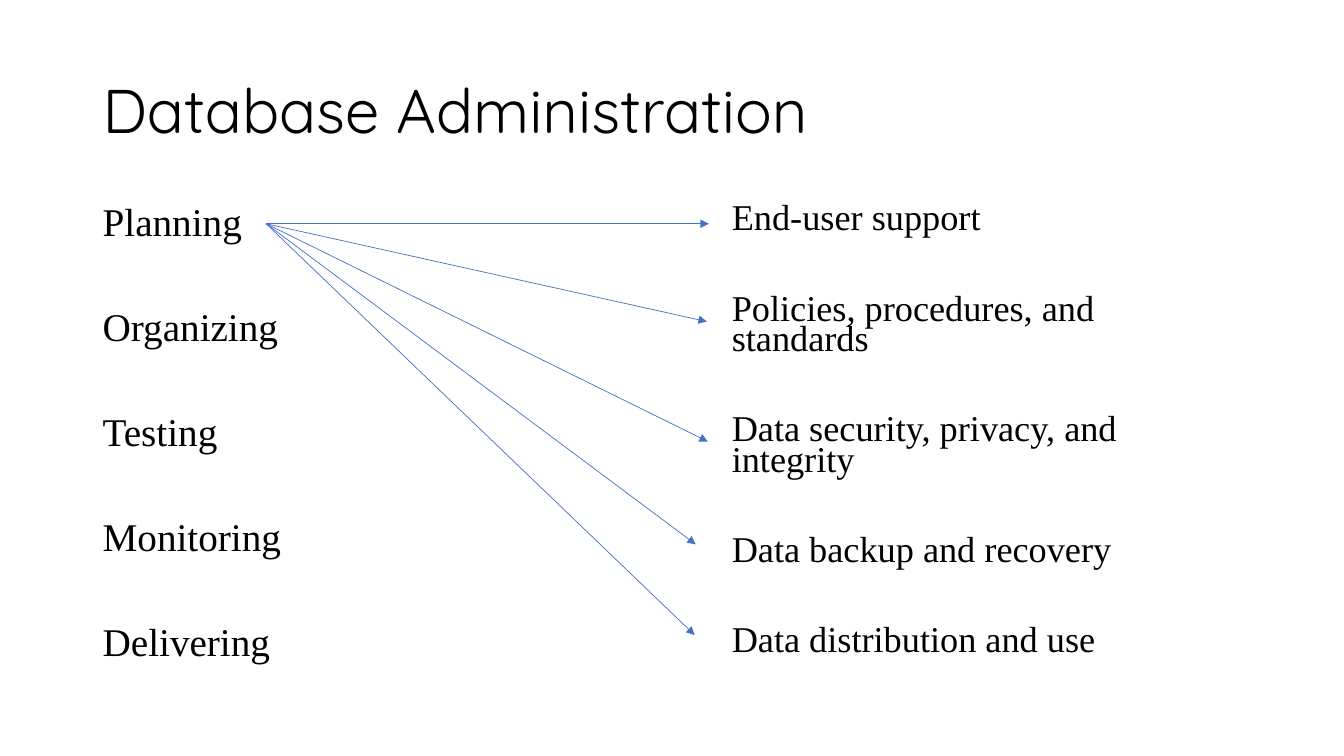
import pptx
import pptx.dml.color
import pptx.enum.shapes
import pptx.enum.text
import pptx.oxml
import pptx.oxml.ns
import pptx.util
from dataclasses import dataclass
from pptx.util import Inches


@dataclass(frozen=True)
class Theme:
    text: str = "000000"
    arrow: str = "4472C4"
    heading_font: str = "Quicksand"
    body_font: str = "Times New Roman"
    heading_size: float = 44
    activity_size: float = 28
    function_size: float = 25.9
    arrow_width: float = 0.5


THEME = Theme()

ACTIVITIES = ["Planning", "Organizing", "Testing", "Monitoring", "Delivering"]
FUNCTIONS = [
    "End-user support",
    "Policies, procedures, and standards",
    "Data security, privacy, and integrity",
    "Data backup and recovery",
    "Data distribution and use",
]
PLANNING_POINT = (2.64, 2.22)
FUNCTION_POINTS = [(7.03, 2.22), (7.01, 3.19), (7.02, 4.38), (6.9, 5.4), (6.89, 6.3)]


def add_text(slide, box, lines, font, size, line_spacing, gap=0):
    """Place one paragraph per line, with gap points between paragraphs."""
    frame = slide.shapes.add_textbox(*map(Inches, box)).text_frame
    frame.word_wrap = True
    frame.text = "\n".join(lines)
    for index, paragraph in enumerate(frame.paragraphs):
        paragraph.line_spacing = line_spacing
        paragraph.space_before = pptx.util.Pt(gap if index else 0)
        for run in paragraph.runs:
            run.font.name = font
            run.font.size = pptx.util.Pt(size)
            run.font.color.rgb = pptx.dml.color.RGBColor.from_string(THEME.text)
    return frame


def add_arrow(slide, start, end):
    arrow = slide.shapes.add_connector(
        pptx.enum.shapes.MSO_CONNECTOR.STRAIGHT, *map(Inches, start + end)
    )
    arrow.line.color.rgb = pptx.dml.color.RGBColor.from_string(THEME.arrow)
    arrow.line.width = pptx.util.Pt(THEME.arrow_width)
    head = pptx.oxml.parse_xml(
        f'<a:tailEnd {pptx.oxml.ns.nsdecls("a")} type="triangle"/>'
    )
    arrow.line._get_or_add_ln().append(head)
    no_shadow = pptx.oxml.parse_xml(f'<a:effectLst {pptx.oxml.ns.nsdecls("a")}/>')
    arrow._element.spPr.append(no_shadow)


def main():
    deck = pptx.Presentation()
    deck.slide_width, deck.slide_height = Inches(13.33), Inches(7.5)
    slide = deck.slides.add_slide(deck.slide_layouts[6])

    # Heading
    heading = add_text(slide, (0.92, 0.4, 11.5, 1.45), ["Database Administration"],
                       THEME.heading_font, THEME.heading_size, 0.9)
    heading.vertical_anchor = pptx.enum.text.MSO_ANCHOR.MIDDLE

    # Activities on the left, functions on the right
    add_text(slide, (0.92, 2, 4.7, 4.76), ACTIVITIES,
             THEME.body_font, THEME.activity_size, 0.8, gap=48)
    add_text(slide, (7.16, 2, 4.7, 4.76), FUNCTIONS,
             THEME.body_font, THEME.function_size, 0.7, gap=42.7)

    # Arrows from planning to every function
    for function_point in FUNCTION_POINTS:
        add_arrow(slide, PLANNING_POINT, function_point)

    deck.save("out.pptx")


if __name__ == "__main__":
    main()
